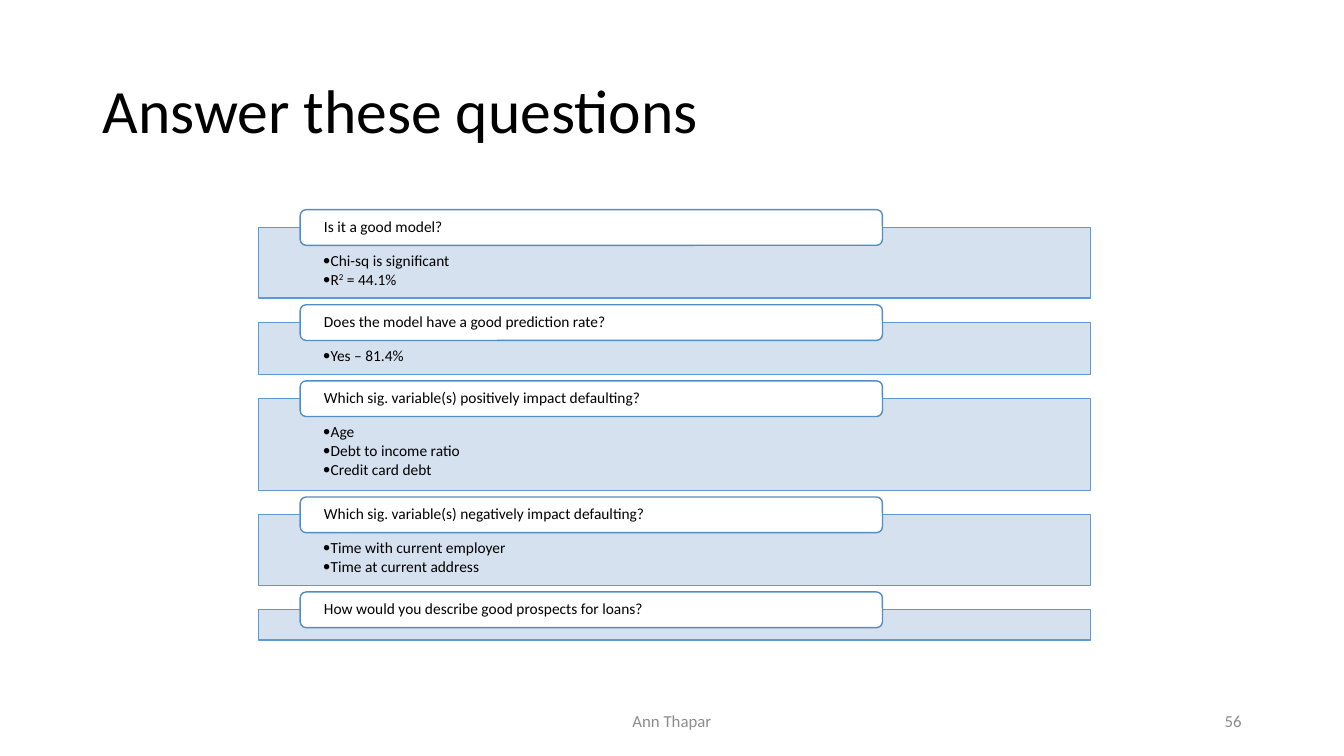
from lxml import etree
from pptx import Presentation
from pptx.dml.color import RGBColor
from pptx.enum.shapes import MSO_SHAPE
from pptx.enum.text import MSO_ANCHOR, PP_ALIGN
from pptx.oxml.ns import qn
from pptx.util import Pt

RECT, ROUND = MSO_SHAPE.RECTANGLE, MSO_SHAPE.ROUNDED_RECTANGLE
TOP, MID = MSO_ANCHOR.TOP, MSO_ANCHOR.MIDDLE
LEFT, CENTER, RIGHT = PP_ALIGN.LEFT, PP_ALIGN.CENTER, PP_ALIGN.RIGHT

FACE = "Calibri"
GAP = 17.45  # between one panel and the next
TAG = 25.5  # height of a question tag
BODY = dict(size=11, color="000000")
FOOT = dict(size=12, color="8C8C8C")

# question, panel height, answers; "^" marks the start and end of a superscript
TOPICS = [
    ("Is it a good model?", 50.5, ["Chi-sq is significant", "R^2^ = 44.1%"]),
    ("Does the model have a good prediction rate?", 36.9, ["Yes – 81.4%"]),
    ("Which sig. variable(s) positively impact defaulting?", 65.5,
     ["Age", "Debt to income ratio", "Credit card debt"]),
    ("Which sig. variable(s) negatively impact defaulting?", 50.4,
     ["Time with current employer", "Time at current address"]),
    ("How would you describe good prospects for loans?", 21.6, []),
]


def rgb(code):
    return RGBColor.from_string(code)


def set_all(item, values):
    for name, value in values.items():
        setattr(item, name, value)


def set_frame(frame, anchor, pads):
    left, top, right, bottom = map(Pt, pads)
    set_all(frame, dict(word_wrap=True, vertical_anchor=anchor,
                        margin_left=left, margin_top=top,
                        margin_right=right, margin_bottom=bottom))


def add_text(para, text, size, color):
    for i, part in enumerate(text.split("^")):
        run = para.add_run()
        run.text = part
        set_all(run.font, dict(name=FACE, size=Pt(size)))
        run.font.color.rgb = rgb(color)
        if i % 2:
            run.font._element.set("baseline", "30000")


def add_bullet(para):
    props = para._p.get_or_add_pPr()
    props.set("marL", str(Pt(4.5)))
    props.set("indent", str(-Pt(4.5)))
    etree.SubElement(props, qn("a:buFont")).set("typeface", FACE)
    etree.SubElement(props, qn("a:buChar")).set("char", "•")


def add_box(slide, kind, box, fill, line):
    shape = slide.shapes.add_shape(kind, *map(Pt, box))
    shape.shadow.inherit = False
    shape.fill.solid()
    shape.fill.fore_color.rgb = rgb(fill)
    shape.line.color.rgb = rgb(line)
    shape.line.width = Pt(1)
    return shape


def add_panel(slide, box, answers):
    panel = add_box(slide, RECT, box, "D2DEEF", "5B9BD5")
    tint = panel.fill._xPr.find(".//" + qn("a:srgbClr"))
    etree.SubElement(tint, qn("a:alpha")).set("val", "90000")
    frame = panel.text_frame
    set_frame(frame, TOP, (46, 18, 46, 6.4))
    for i, answer in enumerate(answers):
        para = frame.add_paragraph() if i else frame.paragraphs[0]
        add_bullet(para)
        set_all(para, dict(alignment=LEFT, level=1, line_spacing=0.9,
                           space_before=Pt(0), space_after=Pt(1.7)))
        add_text(para, answer, **BODY)


def add_tag(slide, box, question):
    tag = add_box(slide, ROUND, box, "FFFFFF", "538DC1")
    set_frame(tag.text_frame, MID, (15.8, 0, 15.8, 0))
    para = tag.text_frame.paragraphs[0]
    set_all(para, dict(alignment=LEFT, line_spacing=0.9))
    add_text(para, question, **BODY)


def add_topics(slide, left, top, width):
    for question, high, answers in TOPICS:
        add_panel(slide, (left, top, width, high), answers)
        add_tag(slide, (left + width * 0.05, top - TAG / 2,
                        width * 0.7, TAG), question)
        top += high + GAP


def add_title(slide, box, text):
    title = slide.shapes.title
    set_all(title, dict(zip(("left", "top", "width", "height"), map(Pt, box))))
    set_frame(title.text_frame, MID, (7.2, 3.6, 7.2, 3.6))
    para = title.text_frame.paragraphs[0]
    set_all(para, dict(alignment=LEFT, line_spacing=0.9, space_before=Pt(0)))
    add_text(para, text, 44, "000000")


def add_foot(slide, box, text, align):
    frame = slide.shapes.add_textbox(*map(Pt, box)).text_frame
    set_frame(frame, MID, (7.2, 3.6, 7.2, 3.6))
    frame.paragraphs[0].alignment = align
    add_text(frame.paragraphs[0], text, **FOOT)


def main():
    deck = Presentation()
    set_all(deck, dict(slide_width=Pt(960), slide_height=Pt(540)))
    slide = deck.slides.add_slide(deck.slide_layouts[5])
    add_title(slide, (66, 28.75, 828, 104.4), "Answer these questions")
    add_topics(slide, 184.7, 162.5, 594.2)
    add_foot(slide, (318, 500.5, 324, 28.75), "Ann Thapar", CENTER)
    add_foot(slide, (678, 500.5, 216, 28.75), "56", RIGHT)
    deck.save("out.pptx")


if __name__ == "__main__":
    main()
